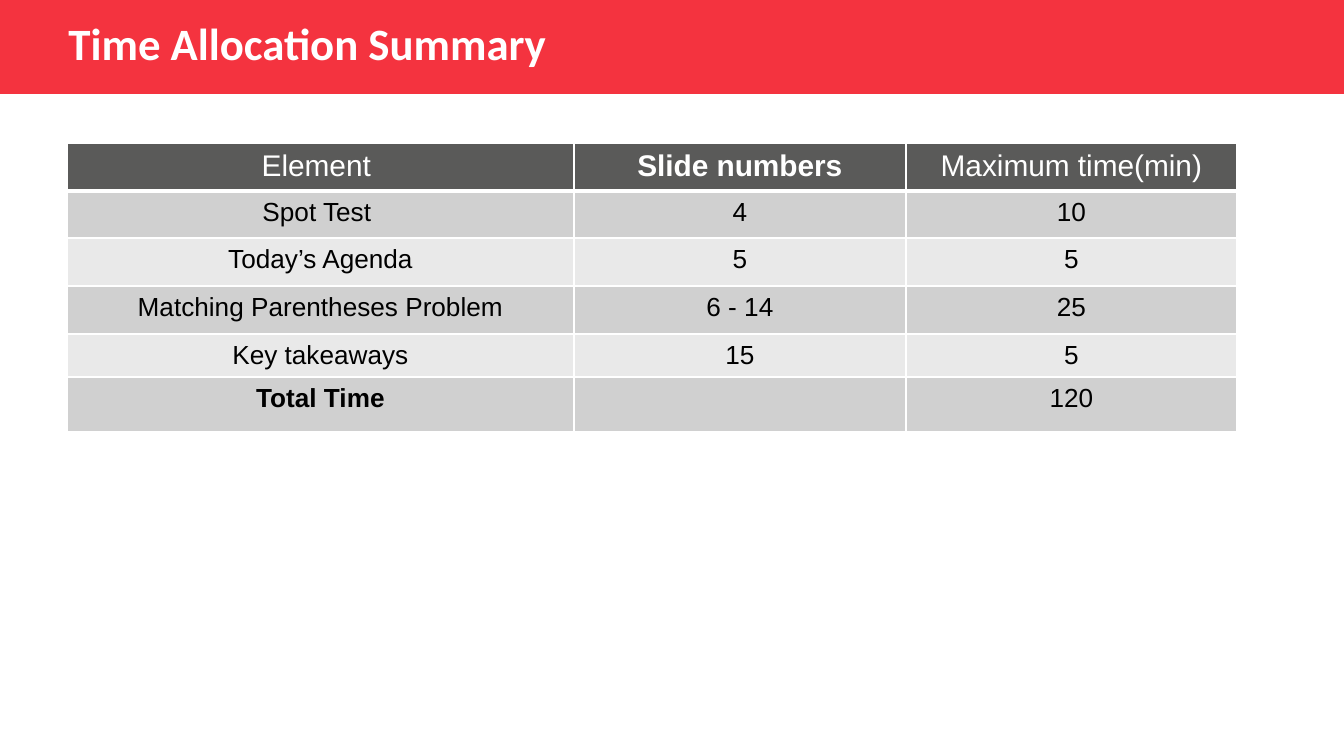
from lxml.etree import SubElement
from pptx import Presentation
from pptx.dml.color import RGBColor
from pptx.enum.shapes import MSO_SHAPE
from pptx.enum.text import MSO_ANCHOR, MSO_AUTO_SIZE, PP_ALIGN
from pptx.oxml.ns import qn
from pptx.util import Emu, Pt

PX_PER_INCH = 134.4
TITLE_ONLY = 5

COLUMNS = [507, 332, 331]
ROW_HEIGHTS = [48, 47, 48, 48, 42, 51]
ROWS = [
    ["Element ", "Slide numbers", "Maximum time(min)"],
    ["Spot Test ", "4", "10"],
    ["Today’s Agenda", "5", "5"],
    ["Matching Parentheses Problem", "6 - 14", "25"],
    ["Key takeaways", "15", "5"],
    ["Total Time", "", "120"],
]
BOLD = {"Slide numbers", "Total Time"}


def px(n):
    return Emu(round(n * 914400 / PX_PER_INCH))


def rgb(color):
    return RGBColor.from_string(color)


def write(tf, text, font="Arial", size=14, color="000000", bold=False,
          align=PP_ALIGN.LEFT, before=0):
    p = tf.paragraphs[0]
    p.alignment = align
    p.space_before = Pt(before)
    r = p.add_run()
    r.text = text
    r.font.name = font
    r.font.size = Pt(size)
    r.font.bold = bold
    r.font.color.rgb = rgb(color)


def set_border(cell, side, color, width):
    """Draw one side of a cell: L, R, T or B. Call before filling the cell."""
    ln = SubElement(cell._tc.get_or_add_tcPr(), qn(f"a:ln{side}"), w=str(Pt(width)))
    SubElement(SubElement(ln, qn("a:solidFill")), qn("a:srgbClr"), val=color)


class Deck:
    red = "F4333F"
    white = "FFFFFF"
    header = "5A5A59"
    bands = ["D0D0D0", "E9E9E9"]

    def __init__(self, prs):
        self.s = prs.slides.add_slide(prs.slide_layouts[TITLE_ONLY])

    def band(self, x, y, w, h):
        """Add a red bar behind everything else."""
        sp = self.s.shapes.add_shape(MSO_SHAPE.RECTANGLE, px(x), px(y), px(w), px(h))
        sp.shadow.inherit = False
        sp.fill.solid()
        sp.fill.fore_color.rgb = rgb(self.red)
        sp.line.fill.background()
        self.s.shapes._spTree.insert(2, sp._element)

    def title(self, text, x, y, w, h):
        sp = self.s.shapes.title
        sp.left, sp.top, sp.width, sp.height = px(x), px(y), px(w), px(h)
        tf = sp.text_frame
        tf.word_wrap = True
        tf.auto_size = MSO_AUTO_SIZE.NONE
        tf.vertical_anchor = MSO_ANCHOR.MIDDLE
        write(tf, text, font="Calibri", size=24, color=self.white, bold=True, before=10)

    def table(self, rows, x, y, widths, heights):
        table = self.s.shapes.add_table(
            len(rows), len(widths), px(x), px(y), px(sum(widths)), px(sum(heights))).table
        for column, w in zip(table.columns, widths):
            column.width = px(w)
        for i, (row, h) in enumerate(zip(rows, heights)):
            table.rows[i].height = px(h)
            for j, text in enumerate(row):
                self.cell(table.cell(i, j), text, i)

    def cell(self, cell, text, row):
        is_header = row == 0
        for side in "LRTB":
            thick = (is_header and side == "B") or (row == 1 and side == "T")
            set_border(cell, side, self.white, 3 if thick else 1)
        cell.fill.solid()
        cell.fill.fore_color.rgb = rgb(self.header if is_header else self.bands[(row - 1) % 2])
        if text:
            write(cell.text_frame, text, size=16 if is_header else 14,
                  color=self.white if is_header else "000000",
                  bold=text in BOLD, align=PP_ALIGN.CENTER)


def main():
    prs = Presentation()
    prs.slide_width, prs.slide_height = px(1344), px(756)
    deck = Deck(prs)
    deck.band(0, 0, 1344, 94)
    deck.title("Time Allocation Summary", 55, -15, 913, 116)
    deck.table(ROWS, 67, 143, COLUMNS, ROW_HEIGHTS)
    prs.save("out.pptx")


if __name__ == "__main__":
    main()
